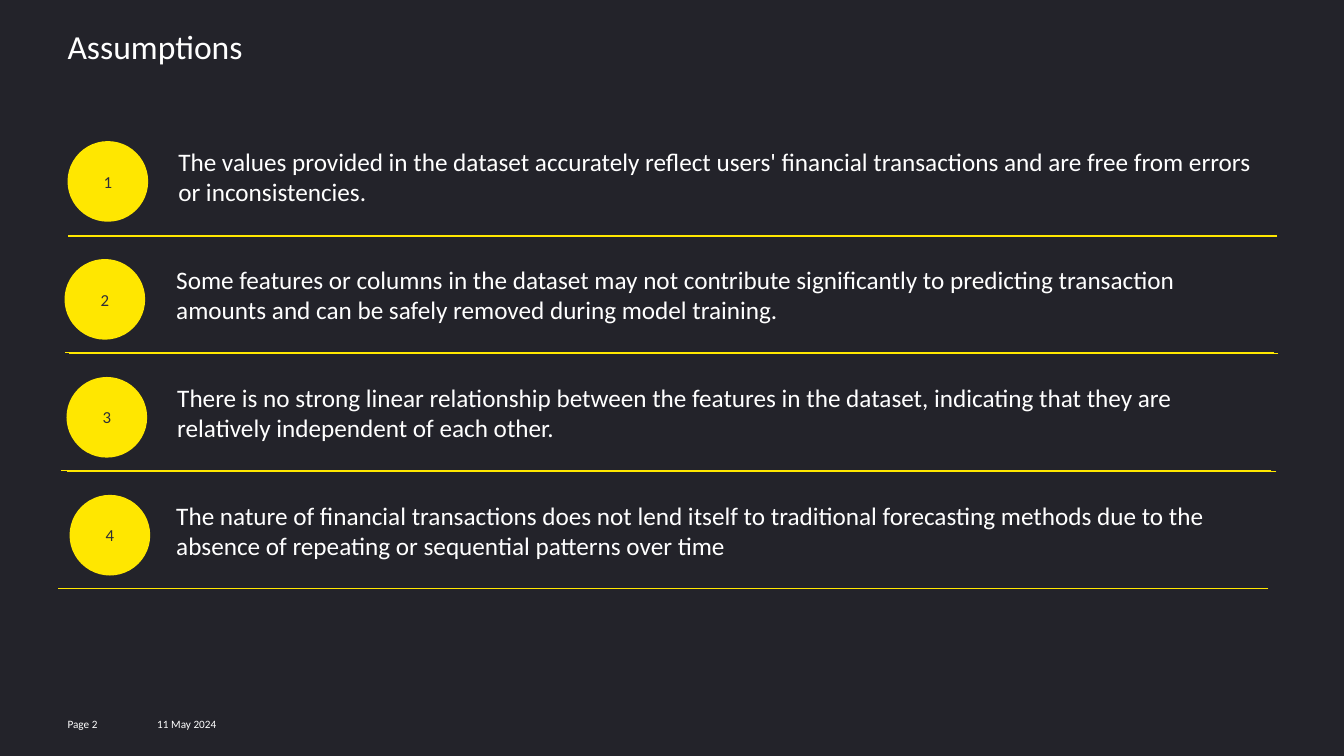
import pptx
import pptx.dml.color
import pptx.enum.shapes
import pptx.enum.text
import pptx.oxml.ns
import pptx.util
from lxml import etree

RGBColor = pptx.dml.color.RGBColor
Inches = pptx.util.Inches
Pt = pptx.util.Pt
Align = pptx.enum.text.PP_ALIGN
Anchor = pptx.enum.text.MSO_ANCHOR

NIGHT = RGBColor(0x23, 0x23, 0x2A)
YELLOW = RGBColor(0xFF, 0xE7, 0x00)
WHITE = RGBColor(0xFF, 0xFF, 0xFF)
CHARCOAL = RGBColor(0x2E, 0x2E, 0x38)

SLIDE_W, SLIDE_H = 13.33, 7.5
MARGIN = 0.67
CONTENT_W = 12
ROWS_TOP, ROW_PITCH = 1.4, 1.17
BADGE = 0.8
STATEMENT_INDENT, STATEMENT_W = 1, 11

# Statement, left edges of badge and statement, and (left, drop) of each rule
ASSUMPTIONS = [
    ("The values provided in the dataset accurately reflect users' financial "
     "transactions and are free from errors or inconsistencies.",
     0.67, 1.67, [(0.67, 0.94)]),
    ("Some features or columns in the dataset may not contribute significantly to "
     "predicting transaction amounts and can be safely removed during model training.",
     0.64, 1.65, [(0.64, 0.93), (0.68, 0.94)]),
    ("There is no strong linear relationship between the features in the dataset, "
     "indicating that they are relatively independent of each other.",
     0.66, 1.66, [(0.66, 0.94), (0.61, 0.93)]),
    ("The nature of financial transactions does not lend itself to traditional "
     "forecasting methods due to the absence of repeating or sequential patterns "
     "over time",
     0.69, 1.65, [(0.58, 0.93)]),
]


def write(frame, text, size, color, align=Align.LEFT, anchor=Anchor.TOP, inset=None):
    """Put one formatted run into a text frame and return its paragraph."""
    frame.word_wrap = True
    frame.auto_size = pptx.enum.text.MSO_AUTO_SIZE.NONE
    frame.vertical_anchor = anchor
    if inset is not None:
        frame.margin_left = frame.margin_right = Inches(inset)
        frame.margin_top = frame.margin_bottom = Inches(inset)
    paragraph = frame.paragraphs[0]
    paragraph.alignment = align
    run = paragraph.add_run()
    run.text = text
    run.font.name = "Calibri"
    run.font.size = Pt(size)
    run.font.color.rgb = color
    return paragraph


def add_title(slide, left, top, width, height):
    title = slide.shapes.title
    title.left, title.top = Inches(left), Inches(top)
    title.width, title.height = Inches(width), Inches(height)
    heading = write(title.text_frame, "Assumptions", 24, WHITE, inset=0)
    heading.line_spacing = 0.85


def add_rule(slide, left, y, width):
    rule = slide.shapes.add_connector(
        pptx.enum.shapes.MSO_CONNECTOR.STRAIGHT,
        Inches(left + width), Inches(y), Inches(left), Inches(y))
    rule.line.color.rgb = YELLOW
    rule.line.width = Pt(1)
    etree.SubElement(rule._element.spPr, pptx.oxml.ns.qn("a:effectLst"))


def add_badge(slide, number, left, top):
    badge = slide.shapes.add_shape(
        pptx.enum.shapes.MSO_SHAPE.OVAL,
        Inches(left), Inches(top), Inches(BADGE), Inches(BADGE))
    badge.shadow.inherit = False
    badge.fill.solid()
    badge.fill.fore_color.rgb = YELLOW
    badge.line.fill.background()
    write(badge.text_frame, str(number), 12, CHARCOAL, Align.CENTER, Anchor.MIDDLE)


def add_assumption(slide, number, top, statement, badge_left, statement_left, rules):
    box = slide.shapes.add_textbox(
        Inches(statement_left), Inches(top), Inches(STATEMENT_W), Inches(0.79))
    paragraph = write(box.text_frame, statement, 18, WHITE)
    paragraph.space_before = Pt(3.6)
    for rule_left, drop in rules:
        add_rule(slide, rule_left, top + drop, CONTENT_W)
    add_badge(slide, number, badge_left, top)


def add_footer(slide, top, height):
    for text, left, width in [("11 May 2024", 1.56, 1.3), ("Page 2", MARGIN, 0.72)]:
        box = slide.shapes.add_textbox(
            Inches(left), Inches(top), Inches(width), Inches(height))
        write(box.text_frame, text, 8, WHITE, anchor=Anchor.MIDDLE, inset=0)


def main():
    deck = pptx.Presentation()
    deck.slide_width, deck.slide_height = Inches(SLIDE_W), Inches(SLIDE_H)
    slide = deck.slides.add_slide(deck.slide_layouts.get_by_name("Title Only"))
    slide.background.fill.solid()
    slide.background.fill.fore_color.rgb = NIGHT

    add_title(slide, MARGIN, 0.32, CONTENT_W, 0.65)
    add_footer(slide, 7.08, 0.2)
    for index, assumption in enumerate(ASSUMPTIONS):
        add_assumption(slide, index + 1, ROWS_TOP + index * ROW_PITCH, *assumption)
    deck.save("out.pptx")


if __name__ == "__main__":
    main()
